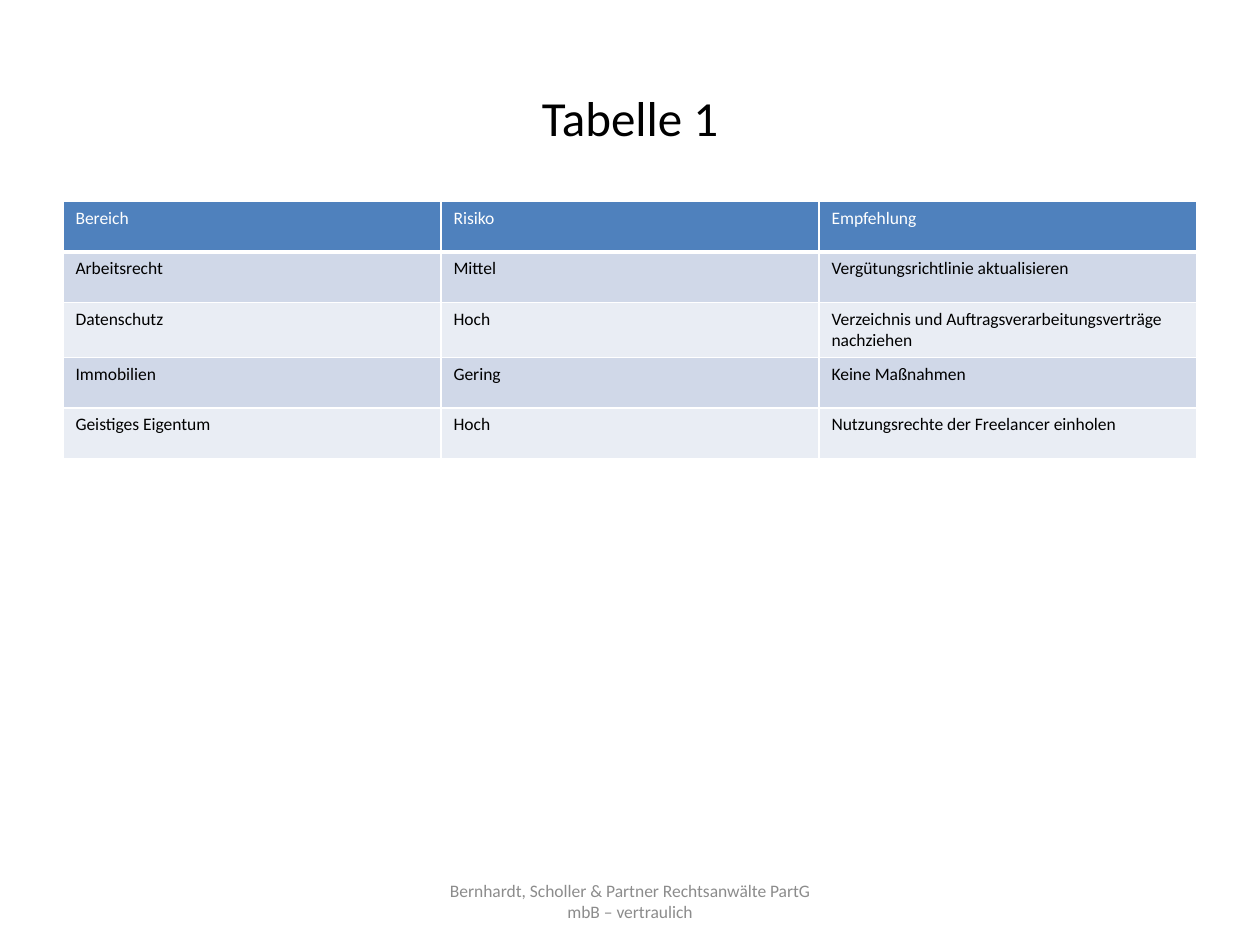
import pptx
import pptx.dml.color
import pptx.enum.text
import pptx.util
from lxml import etree
from pptx.oxml.ns import qn

TITLE = "Tabelle 1"
FOOTER = "Bernhardt, Scholler & Partner Rechtsanwälte PartG mbB – vertraulich"
ROWS = [
    ("Bereich", "Risiko", "Empfehlung"),
    ("Arbeitsrecht", "Mittel", "Vergütungsrichtlinie aktualisieren"),
    ("Datenschutz", "Hoch", "Verzeichnis und Auftragsverarbeitungsverträge nachziehen"),
    ("Immobilien", "Gering", "Keine Maßnahmen"),
    ("Geistiges Eigentum", "Hoch", "Nutzungsrechte der Freelancer einholen"),
]
COLORS = {
    "text": "000000",
    "header_text": "FFFFFF",
    "footer": "8C8C8C",
    "header": "4F81BD",
    "odd": "D0D8E8",
    "even": "E9EDF4",
    "border": "FFFFFF",
}
FONT = "Calibri"
SLIDE_W, SLIDE_H = 10, 7.5
MARGIN = 0.05 * SLIDE_W
CONTENT_W = SLIDE_W - 2 * MARGIN
ROW_H = 0.4
FOOTER_W = 3.17

inches = pptx.util.Inches


def rgb(name):
    return pptx.dml.color.RGBColor.from_string(COLORS[name])


def write(frame, text, size=10, color="text", align=None, anchor=None):
    frame.word_wrap = True
    if anchor is not None:
        frame.vertical_anchor = anchor
    paragraph = frame.paragraphs[0]
    paragraph.alignment = align
    run = paragraph.add_run()
    run.text = text
    run.font.name = FONT
    run.font.size = pptx.util.Pt(size)
    run.font.bold = False
    run.font.color.rgb = rgb(color)


def set_borders(cell, bottom=1):
    """Draw the cell's borders, 1 pt wide except for the bottom one."""
    properties = cell._tc.get_or_add_tcPr()
    for side, width in (("L", 1), ("R", 1), ("T", 1), ("B", bottom)):
        line = etree.SubElement(properties, qn(f"a:ln{side}"), w=str(pptx.util.Pt(width)))
        fill = etree.SubElement(line, qn("a:solidFill"))
        etree.SubElement(fill, qn("a:srgbClr"), val=COLORS["border"])


def add_risk_table(slide):
    columns = len(ROWS[0])
    table = slide.shapes.add_table(
        len(ROWS), columns, inches(MARGIN), inches(1.6),
        inches(CONTENT_W), inches(ROW_H * len(ROWS))
    ).table
    for r, row in enumerate(ROWS):
        is_header = r == 0
        band = "header" if is_header else "odd" if r % 2 else "even"
        for c, text in enumerate(row):
            cell = table.cell(r, c)
            set_borders(cell, bottom=3 if is_header else 1)
            cell.fill.solid()
            cell.fill.fore_color.rgb = rgb(band)
            write(cell.text_frame, text, color="header_text" if is_header else "text")


def main():
    deck = pptx.Presentation()
    deck.slide_width, deck.slide_height = inches(SLIDE_W), inches(SLIDE_H)
    slide = deck.slides.add_slide(deck.slide_layouts[5])
    centred = {"align": pptx.enum.text.PP_ALIGN.CENTER,
               "anchor": pptx.enum.text.MSO_ANCHOR.MIDDLE}

    title = slide.shapes.title
    title.left, title.top = inches(MARGIN), inches(0.3)
    title.width, title.height = inches(CONTENT_W), inches(1.25)
    write(title.text_frame, TITLE, size=28, **centred)

    add_risk_table(slide)

    footer = slide.shapes.add_textbox(
        inches((SLIDE_W - FOOTER_W) / 2), inches(6.95), inches(FOOTER_W), inches(0.4))
    write(footer.text_frame, FOOTER, color="footer", **centred)

    deck.save("out.pptx")


if __name__ == "__main__":
    main()
